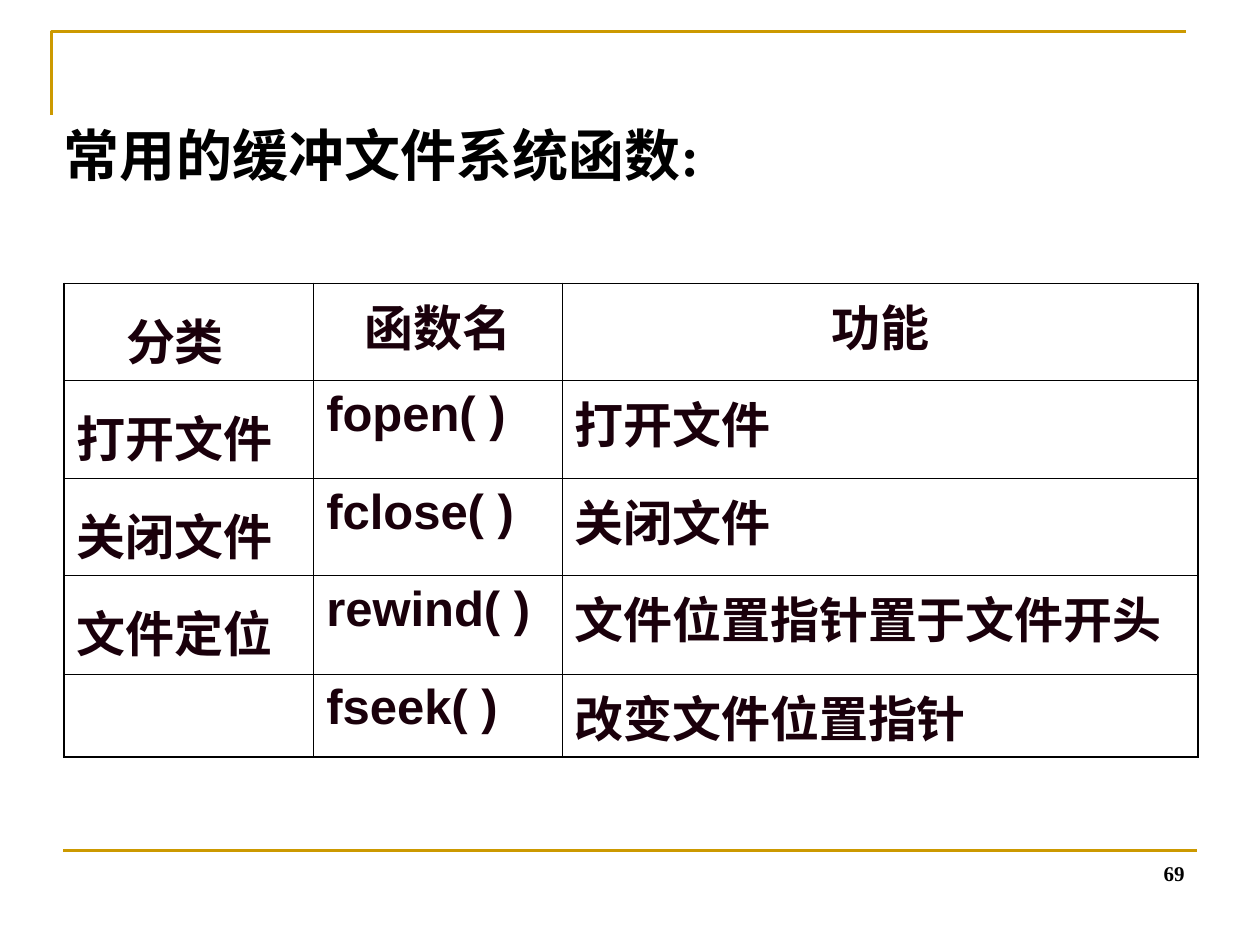
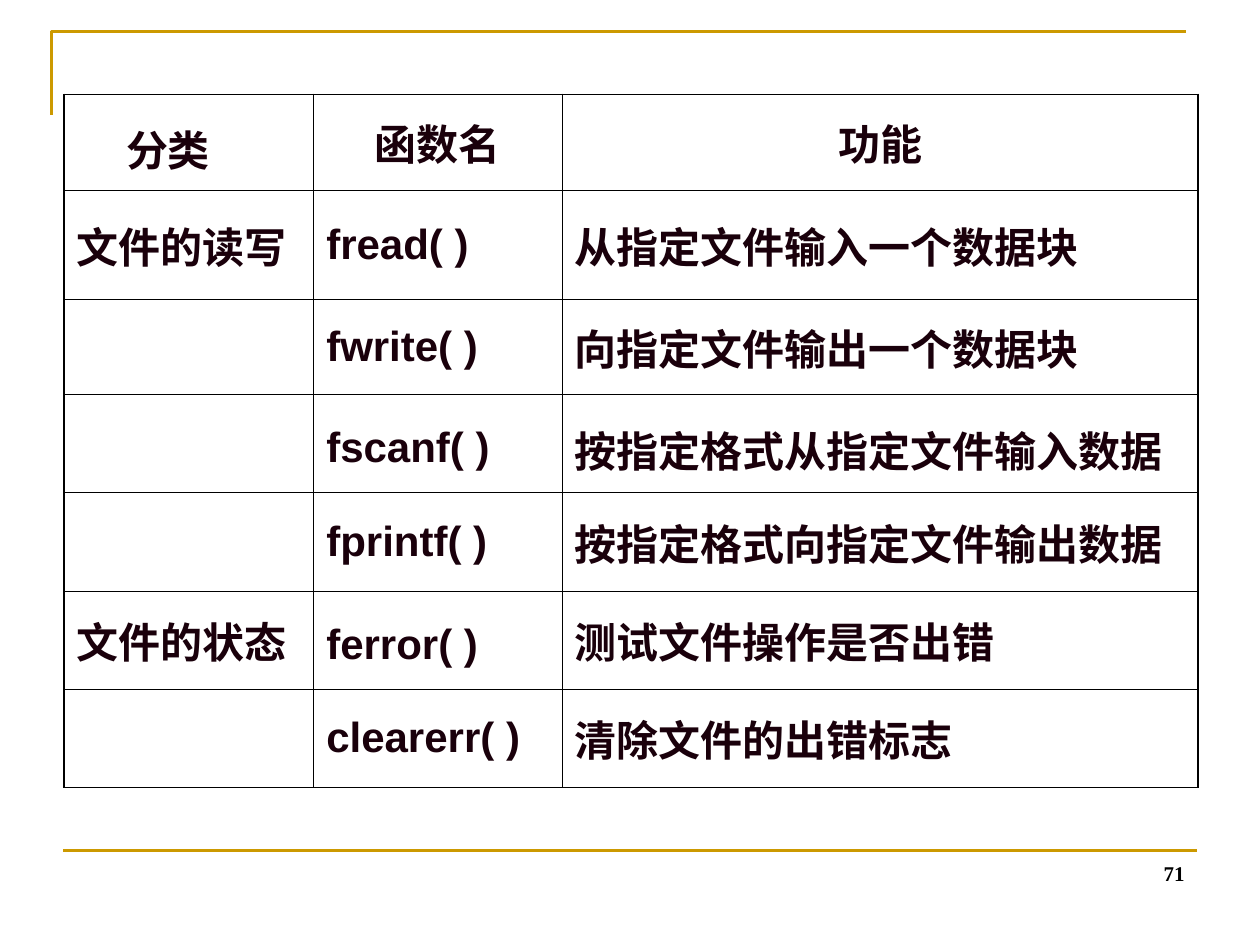
from dataclasses import dataclass

from lxml.etree import SubElement
from pptx import Presentation
from pptx.dml.color import RGBColor
from pptx.enum.shapes import MSO_CONNECTOR
from pptx.enum.text import MSO_ANCHOR, PP_ALIGN
from pptx.oxml.ns import qn
from pptx.util import Inches, Pt


@dataclass(frozen=True)
class Theme:
    gold: RGBColor = RGBColor(0xCC, 0x99, 0x00)
    black: RGBColor = RGBColor(0, 0, 0)
    white: RGBColor = RGBColor(0xFF, 0xFF, 0xFF)
    cell_text: RGBColor = RGBColor(0x1A, 0x00, 0x0B)
    serif: str = "Times New Roman"
    sans: str = "Arial"
    title_size: int = 32
    number_size: int = 12
    common_table_size: int = 28
    read_write_table_size: int = 24
    rule_width: float = 1.5
    outer_border: float = 1.08
    inner_border: float = 0.45
    loose_spacing: float = 1.2


THEME = Theme()
COLUMN_WIDTHS = (1.98, 1.97, 5.05)
HEADINGS = ("分类\t", "函数名", "功能")

COMMON_FUNCTIONS = (
    HEADINGS,
    ("打开文件", "fopen( )", "打开文件"),
    ("关闭文件", "fclose( )", "关闭文件"),
    ("文件定位", "rewind( )", "文件位置指针置于文件开头"),
    ("", "fseek( )", "改变文件位置指针"),
)
COMMON_ROW_HEIGHTS = [0.77, 0.78] * 2 + [0.66]
COMMON_LOOSE_CELLS = {(row, 0) for row in range(4)}

READ_WRITE_FUNCTIONS = (
    HEADINGS,
    ("文件的读写", "fread( )", "从指定文件输入一个数据块"),
    ("", "fwrite( )", "向指定文件输出一个数据块"),
    ("", "fscanf( )", "按指定格式从指定文件输入数据"),
    ("", "fprintf( )", "按指定格式向指定文件输出数据"),
    ("文件的状态", "ferror( )", "测试文件操作是否出错"),
    ("", "clearerr( )", "清除文件的出错标志"),
)
READ_WRITE_ROW_HEIGHTS = [0.76, 0.87, 0.75] + [0.78] * 4
READ_WRITE_LOOSE_CELLS = {(0, 0), (3, 1), (3, 2), (5, 1)}


def add_span(para, text, font_name, size, color):
    span = para.add_run()
    span.text = text
    span.font.name = font_name
    span.font.size = Pt(size)
    span.font.bold = True
    span.font.color.rgb = color


def add_text(page, text, left, top, width, height, size,
             align=PP_ALIGN.LEFT, anchor=MSO_ANCHOR.TOP):
    box = page.shapes.add_textbox(Inches(left), Inches(top), Inches(width), Inches(height))
    frame = box.text_frame
    frame.word_wrap = True
    frame.vertical_anchor = anchor
    para = frame.paragraphs[0]
    para.alignment = align
    add_span(para, text, THEME.serif, size, THEME.black)


def style_rule(line):
    line.color.rgb = THEME.gold
    line.width = Pt(THEME.rule_width)


def add_corner(page):
    left, top, right, bottom = (Inches(edge) for edge in (0.41, 0.25, 9.41, 0.91))
    builder = page.shapes.build_freeform(left, bottom)
    builder.add_line_segments([(left, top), (right, top)], close=False)
    corner = builder.convert_to_shape()
    corner.shadow.inherit = False
    corner.fill.background()
    style_rule(corner.line)


def add_footer_rule(page):
    rule = page.shapes.add_connector(
        MSO_CONNECTOR.STRAIGHT, Inches(0.5), Inches(6.75), Inches(9.5), Inches(6.75))
    SubElement(rule._element.spPr, qn("a:effectLst"))
    style_rule(rule.line)


def add_page(deck, number):
    page = deck.slides.add_slide(deck.slide_layouts[6])
    add_corner(page)
    add_footer_rule(page)
    add_text(page, number, 7.17, 6.58, 2.33, 0.5, THEME.number_size,
             PP_ALIGN.RIGHT, MSO_ANCHOR.BOTTOM)
    return page


def add_inch_tabs(para):
    tabs = SubElement(para._p.get_or_add_pPr(), qn("a:tabLst"))
    for inch in range(8):
        SubElement(tabs, qn("a:tab"), pos=str(Inches(inch)), algn="l")


def set_borders(cell, outer_sides):
    properties = cell._tc.get_or_add_tcPr()
    for side in "LRTB":
        width = THEME.outer_border if side in outer_sides else THEME.inner_border
        border = SubElement(properties, qn(f"a:ln{side}"), w=str(Pt(width)))
        fill = SubElement(border, qn("a:solidFill"))
        SubElement(fill, qn("a:srgbClr"), val=str(THEME.black))


def outer_sides_of(row, column, row_count):
    edges = {"L": column == 0, "R": column == len(COLUMN_WIDTHS) - 1,
             "T": row == 0, "B": row == row_count - 1}
    return {side for side, is_outer in edges.items() if is_outer}


def fill_cell(cell, text, size, anchor, is_heading, is_loose):
    cell.fill.solid()
    cell.fill.fore_color.rgb = THEME.white
    cell.vertical_anchor = anchor
    if not text:
        return
    para = cell.text_frame.paragraphs[0]
    if "\t" in text:
        add_inch_tabs(para)
    if is_heading:
        para.alignment = PP_ALIGN.CENTER
    if is_loose:
        para.line_spacing = THEME.loose_spacing
    add_span(para, text, THEME.sans, size, THEME.cell_text)


def add_function_table(page, top, row_heights, content, loose_cells, size, anchor):
    table = page.shapes.add_table(
        len(content), len(COLUMN_WIDTHS), Inches(0.51), Inches(top),
        Inches(sum(COLUMN_WIDTHS)), Inches(sum(row_heights))).table
    table.first_row = False
    table.horz_banding = False
    for column, width in zip(table.columns, COLUMN_WIDTHS):
        column.width = Inches(width)
    for row, height in zip(table.rows, row_heights):
        row.height = Inches(height)
    for row, texts in enumerate(content):
        for column, text in enumerate(texts):
            cell = table.cell(row, column)
            set_borders(cell, outer_sides_of(row, column, len(content)))
            fill_cell(cell, text, size, anchor, row == 0, (row, column) in loose_cells)


def main():
    deck = Presentation()
    deck.slide_width = Inches(10)
    deck.slide_height = Inches(7.5)

    common_page = add_page(deck, "69")
    add_function_table(common_page, 2.25, COMMON_ROW_HEIGHTS, COMMON_FUNCTIONS,
                       COMMON_LOOSE_CELLS, THEME.common_table_size, MSO_ANCHOR.TOP)
    add_text(common_page, "常用的缓冲文件系统函数:", 0.41, 0.91, 8.13, 0.93, THEME.title_size)

    read_write_page = add_page(deck, "71")
    add_function_table(read_write_page, 0.75, READ_WRITE_ROW_HEIGHTS, READ_WRITE_FUNCTIONS,
                       READ_WRITE_LOOSE_CELLS, THEME.read_write_table_size, MSO_ANCHOR.MIDDLE)

    deck.save("out.pptx")


if __name__ == "__main__":
    main()
